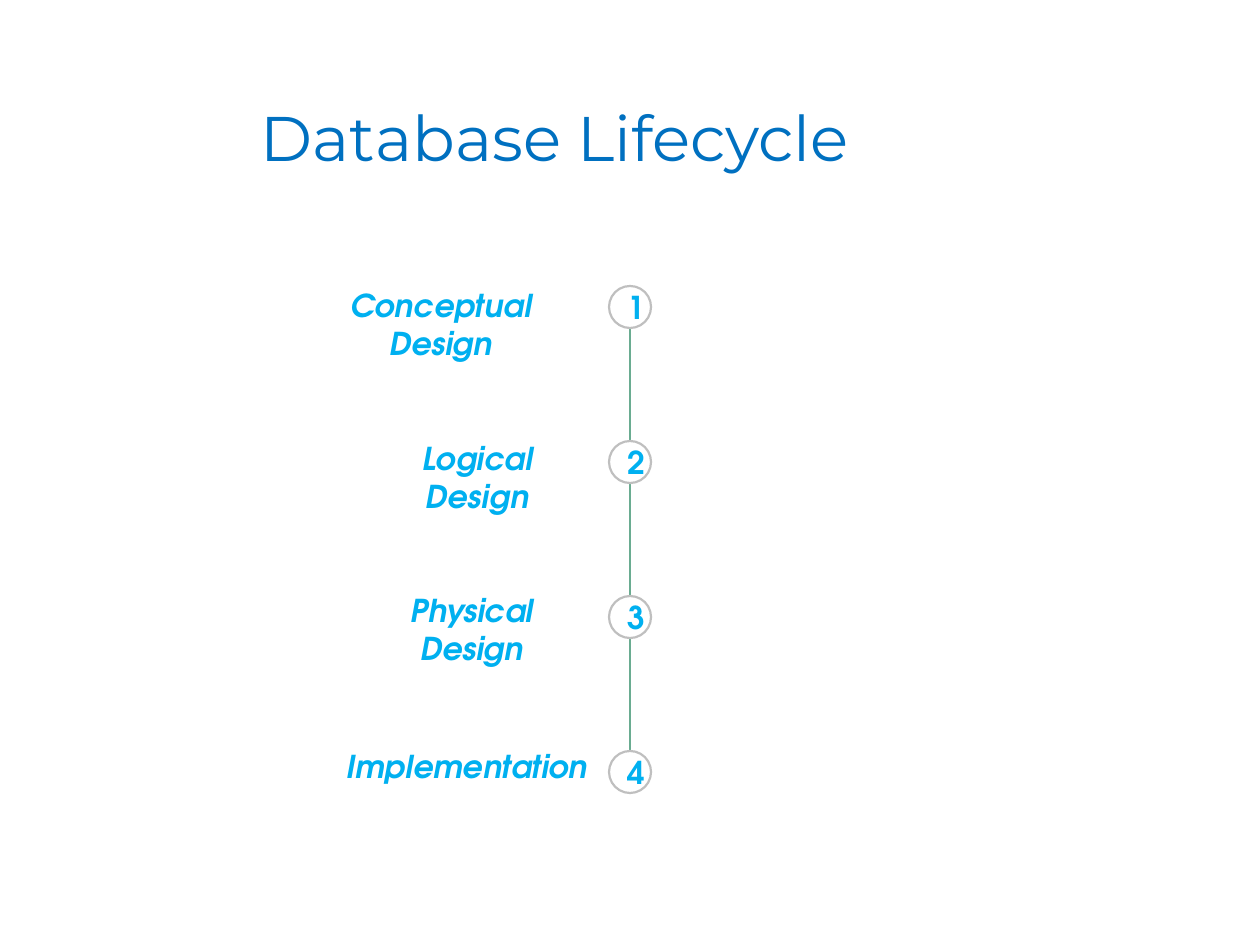
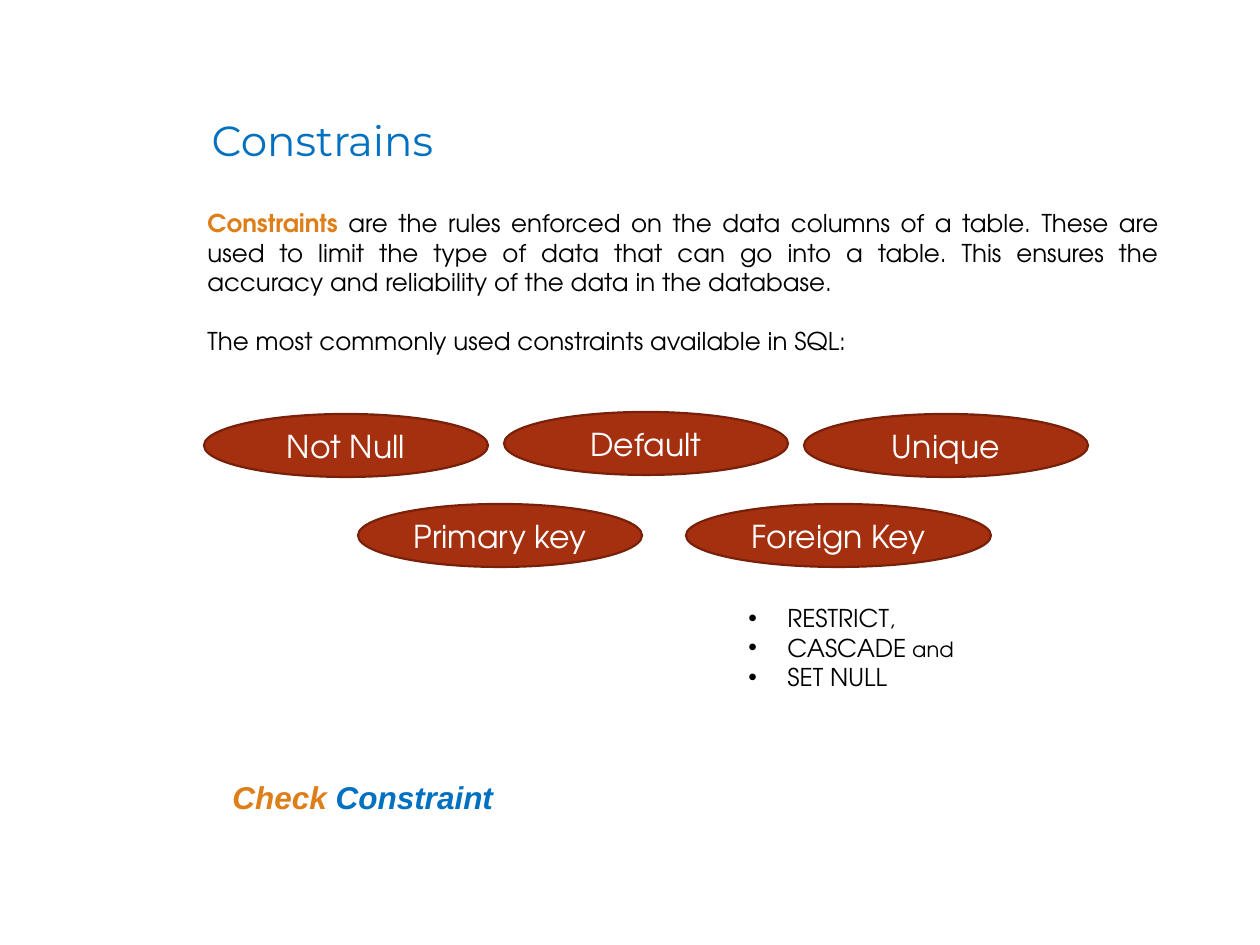
from lxml import etree
from pptx import Presentation
from pptx.dml.color import RGBColor
from pptx.enum.shapes import MSO_CONNECTOR, MSO_SHAPE
from pptx.enum.text import MSO_ANCHOR, MSO_AUTO_SIZE, PP_ALIGN
from pptx.oxml.ns import qn
from pptx.util import Emu, Pt

LEFT, CENTER, JUSTIFY = PP_ALIGN.LEFT, PP_ALIGN.CENTER, PP_ALIGN.JUSTIFY
TOP, MIDDLE = MSO_ANCHOR.TOP, MSO_ANCHOR.MIDDLE
CIRCLE, ELLIPSE = MSO_SHAPE.FLOWCHART_CONNECTOR, MSO_SHAPE.OVAL
STRAIGHT = MSO_CONNECTOR.STRAIGHT
NO_FIT = MSO_AUTO_SIZE.NONE

SCALE = 914400 / 126
TITLE_FONT, BODY_FONT, NOTE_FONT = "Montserrat", "TeX Gyre Adventor", "Arial"
BLUE, SKY, ORANGE = "0070C0", "00B0F0", "DE7E18"
BLACK, WHITE, GREY, GREEN = "000000", "FFFFFF", "BFBFBF", "6AAC91"
RUST, DARK_RUST = "A53010", "782009"

LIFECYCLE_TITLE = ("Database Lifecycle", 36, (248, 92, 1008, 86))
STAGES = [
    ("Conceptual Design", (290, 280, 302, 50), CENTER),
    ("Logical Design", (357, 433, 241, 50), CENTER),
    ("Physical Design", (344, 585, 256, 50), CENTER),
    ("Implementation", (334, 741, 270, 50), LEFT),
]
CIRCLE_LEFT, CIRCLE_TOP, CIRCLE_SIZE, STAGE_PITCH = 609, 286, 42, 155

CONSTRAINTS_TITLE = ("Constrains", 24, (199, 108, 431, 60))
INTRO_PLACE = (195, 202, 977, 160)
INTRO = [
    [("Constraints", 14, ORANGE, "b"),
     (" are the rules enforced on the data columns of a table. These are used "
      "to limit the type of data that can go into a table. This ensures the "
      "accuracy and reliability of the data in the database.", 14, BLACK, "")],
    [("The most commonly used constraints available in SQL:", 14, BLACK, "")],
]
CONSTRAINTS = [
    ("Not Null", (204, 414, 284, 63)),
    ("Default", (504, 412, 284, 63)),
    ("Unique", (804, 414, 284, 63)),
    ("Primary key", (358, 504, 284, 63)),
    ("Foreign Key", (686, 504, 305, 63)),
]
ACTIONS_PLACE = (736, 597, 258, 101)
ACTIONS = [
    [("RESTRICT", 14, BLACK, ""), (",", 12, BLACK, "")],
    [("CASCADE", 14, BLACK, ""), (" and", 12, BLACK, "")],
    [("SET NULL", 14, BLACK, "")],
]
BULLET_INDENT = 39
CHECK_PLACE = (220, 772, 315, 50)
CHECK = [[("Check ", 18, ORANGE, "bi"), ("Constraint", 18, BLUE, "bi")]]


def px(length):
    return Emu(round(length * SCALE))


def place(values):
    return [px(value) for value in values]


def color(value):
    return RGBColor.from_string(value)


def add_bullet(para):
    properties = para._p.get_or_add_pPr()
    properties.set("marL", str(px(BULLET_INDENT)))
    properties.set("indent", str(-px(BULLET_INDENT)))
    etree.SubElement(properties, qn("a:buFont")).set("typeface", "Arial")
    etree.SubElement(properties, qn("a:buChar")).set("char", "•")


def write(box, paragraphs, align=LEFT, anchor=TOP, font=BODY_FONT, bullets=False, gap=0):
    frame = box.text_frame
    frame.word_wrap = True
    frame.auto_size = NO_FIT
    frame.vertical_anchor = anchor
    for index, spans in enumerate(paragraphs):
        para = frame.add_paragraph() if index else frame.paragraphs[0]
        if bullets:
            add_bullet(para)
        para.alignment = align
        if index and gap:
            para.space_before = Pt(gap)
        for text, size, ink, style in spans:
            span = para.add_run()
            span.text = text
            span.font.name = font
            span.font.size = Pt(size)
            span.font.bold = "b" in style
            span.font.italic = "i" in style
            span.font.color.rgb = color(ink)


def add_page(deck, text, size, position):
    page = deck.slides.add_slide(deck.slide_layouts[5])
    title = page.shapes.title
    title.left, title.top, title.width, title.height = place(position)
    write(title, [[(text, size, BLUE, "")]], font=TITLE_FONT)
    return page


def add_text(page, position, paragraphs, **options):
    write(page.shapes.add_textbox(*place(position)), paragraphs, **options)


def add_badge(page, kind, position, fill, line, span):
    badge = page.shapes.add_shape(kind, *place(position))
    badge.shadow.inherit = False
    badge.fill.solid()
    badge.fill.fore_color.rgb = color(fill)
    badge.line.color.rgb = color(line)
    badge.line.width = Pt(1.25)
    write(badge, [[span]], align=CENTER, anchor=MIDDLE)


def add_line(page, ends):
    line = page.shapes.add_connector(STRAIGHT, *place(ends))
    line.line.color.rgb = color(GREEN)
    line.line.width = Pt(0.75)
    etree.SubElement(line._element.spPr, qn("a:effectLst"))


def build_lifecycle(deck):
    page = add_page(deck, *LIFECYCLE_TITLE)
    axis = CIRCLE_LEFT + CIRCLE_SIZE // 2
    last_top = CIRCLE_TOP + (len(STAGES) - 1) * STAGE_PITCH
    add_line(page, (axis, CIRCLE_TOP + CIRCLE_SIZE, axis, last_top))
    for index, (stage, position, align) in enumerate(STAGES):
        circle = (CIRCLE_LEFT, CIRCLE_TOP + index * STAGE_PITCH, CIRCLE_SIZE, CIRCLE_SIZE)
        add_badge(page, CIRCLE, circle, WHITE, GREY, (str(index + 1), 18, SKY, "b"))
        add_text(page, position, [[(stage, 18, SKY, "bi")]], align=align)


def build_constraints(deck):
    page = add_page(deck, *CONSTRAINTS_TITLE)
    add_text(page, INTRO_PLACE, INTRO, align=JUSTIFY, gap=17)
    for name, position in CONSTRAINTS:
        add_badge(page, ELLIPSE, position, RUST, DARK_RUST, (name, 18, WHITE, ""))
    add_text(page, ACTIONS_PLACE, ACTIONS, anchor=MIDDLE, bullets=True)
    add_text(page, CHECK_PLACE, CHECK, align=JUSTIFY, font=NOTE_FONT)


def main():
    deck = Presentation()
    deck.slide_width, deck.slide_height = place((1260, 945))
    build_lifecycle(deck)
    build_constraints(deck)
    deck.save("out.pptx")


if __name__ == "__main__":
    main()
